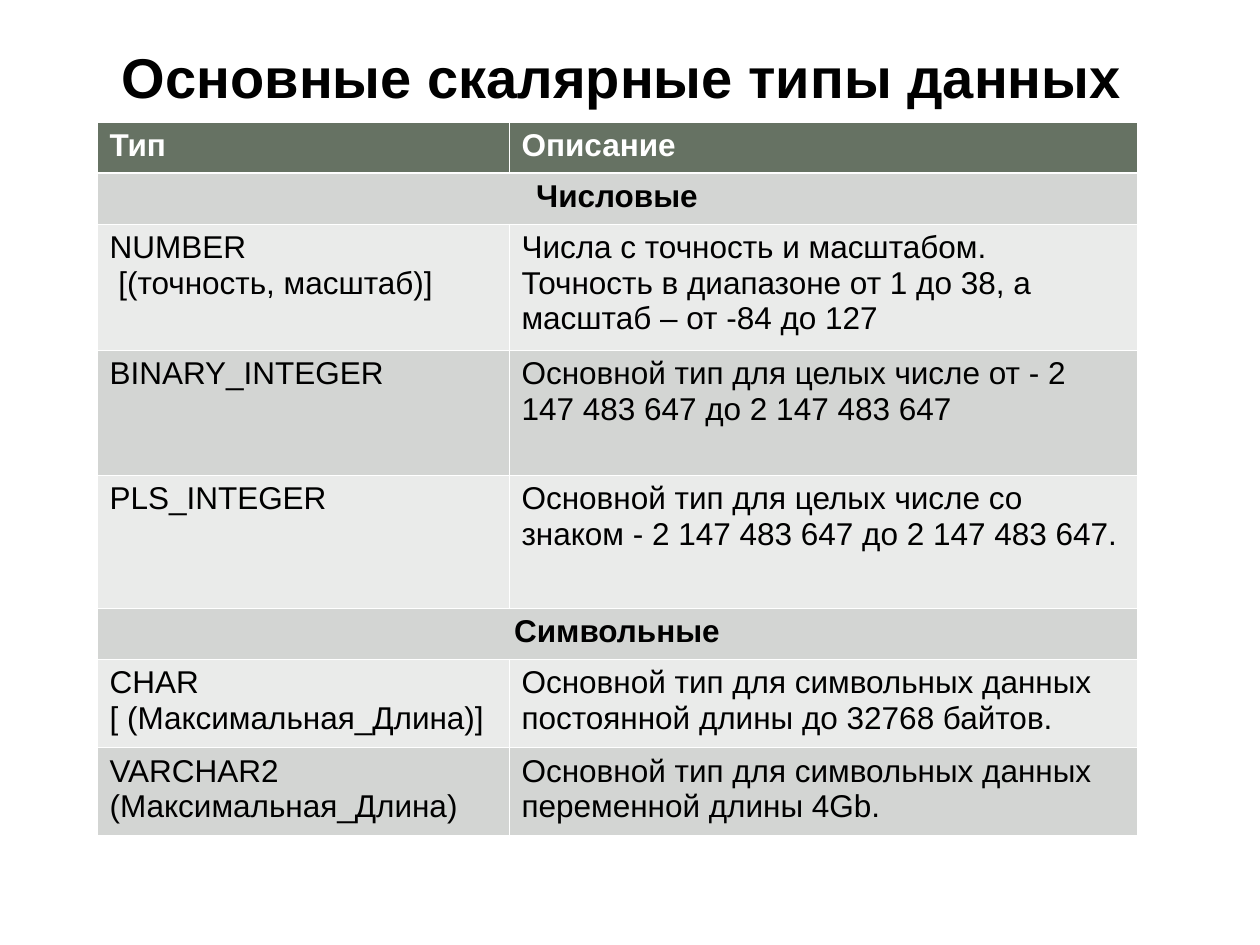
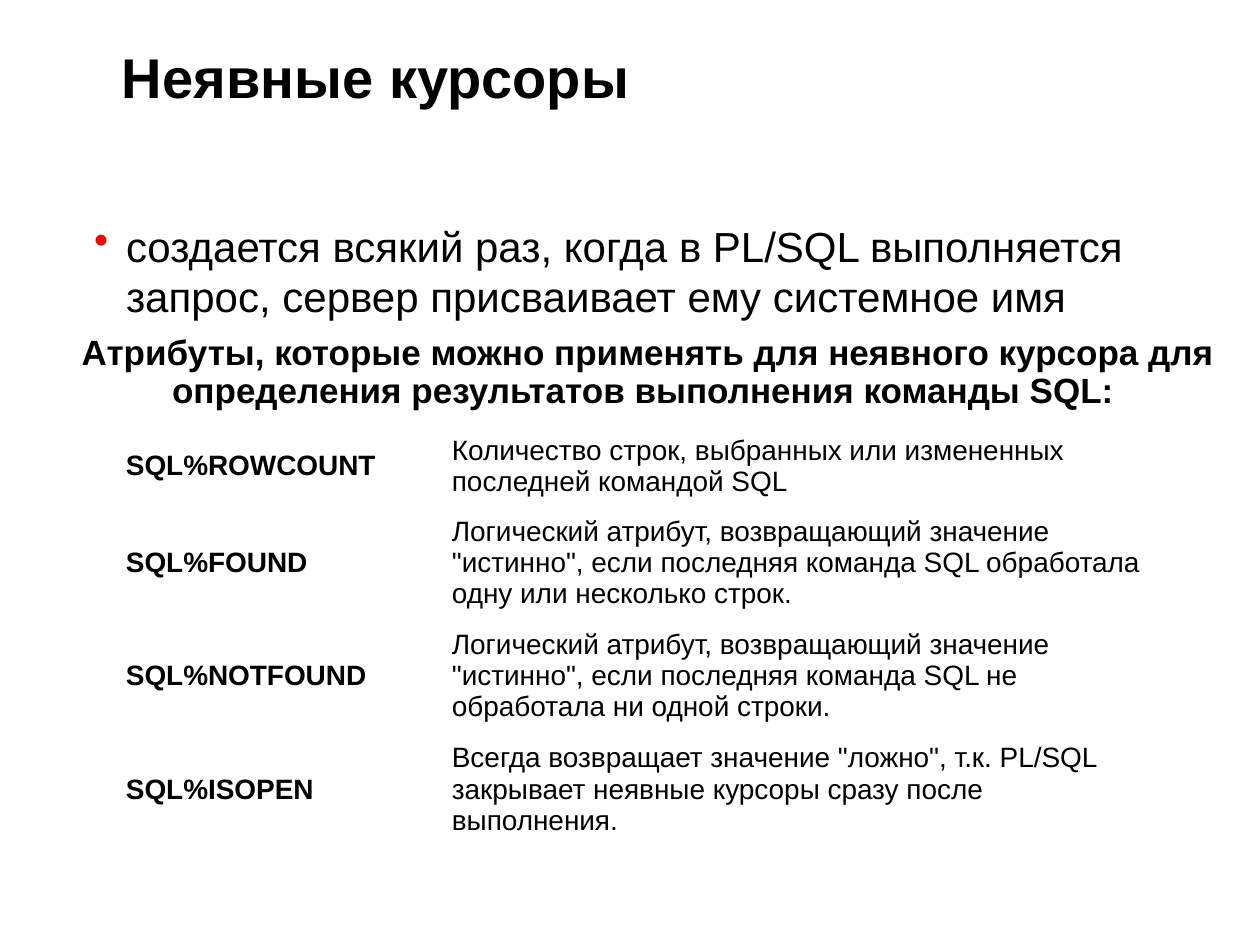
from dataclasses import dataclass

from lxml import etree
from pptx import Presentation
from pptx.dml.color import RGBColor
from pptx.enum.text import MSO_ANCHOR, PP_ALIGN
from pptx.oxml.ns import qn
from pptx.util import Emu, Pt

CENTER, LEFT = PP_ALIGN.CENTER, PP_ALIGN.LEFT
TOP, MIDDLE = MSO_ANCHOR.TOP, MSO_ANCHOR.MIDDLE
PX_PER_INCH = 126


@dataclass(frozen=True)
class Theme:
    font: str = "Arial"
    ink: str = "000000"
    white: str = "FFFFFF"
    header: str = "667263"
    bands: tuple = ("D3D5D3", "EAEBEA")
    bullet: str = "FC0000"
    title_size: int = 32
    body_size: int = 24
    lead_size: int = 20
    types_size: int = 18
    attrs_size: int = 16
    rule: float = 0.45
    header_rule: float = 1.47


T = Theme()

# Content: a row with one text spans the whole table
TYPES_TITLE = "Основные скалярные типы данных"
TYPES = [
    ("Тип", "Описание"),
    ("Числовые",),
    ("NUMBER\n [(точность, масштаб)]",
     "Числа с точность и масштабом. Точность в диапазоне от 1 до 38, а масштаб – от -84 до 127"),
    ("BINARY_INTEGER", "Основной тип для целых числе от - 2 147 483 647 до 2 147 483 647"),
    ("PLS_INTEGER", "Основной тип для целых числе со знаком - 2 147 483 647 до 2 147 483 647."),
    ("Символьные",),
    ("CHAR\n[ (Максимальная_Длина)]",
     "Основной тип для символьных данных постоянной длины до 32768 байтов."),
    ("VARCHAR2 (Максимальная_Длина)",
     "Основной тип для символьных данных переменной длины 4Gb."),
]
TYPES_COLS = (412, 628)
TYPES_ROWS = (51, 51, 126, 125, 133, 51, 88, 88)

CURSOR_TITLE = "Неявные курсоры"
CURSOR_NOTE = ("создается всякий раз, когда в PL/SQL выполняется запрос, "
               "сервер присваивает ему системное имя")
ATTRS_LEAD = ("Атрибуты, которые можно применять для неявного курсора для "
              "определения результатов выполнения команды SQL: ")
ATTRS = [
    ("SQL%ROWCOUNT", "Количество строк, выбранных или измененных последней командой SQL"),
    ("SQL%FOUND", 'Логический атрибут, возвращающий значение "истинно", '
                  "если последняя команда SQL обработала одну или несколько строк."),
    ("SQL%NOTFOUND", 'Логический атрибут, возвращающий значение "истинно", '
                     "если последняя команда SQL не обработала ни одной строки."),
    ("SQL%ISOPEN", 'Всегда возвращает значение "ложно", т.к. PL/SQL '
                   "закрывает неявные курсоры сразу после выполнения."),
]
ATTRS_COLS = (326, 725)
ATTRS_ROWS = (78, 112, 112, 112)


def px(n):
    return Emu(round(n * 914400 / PX_PER_INCH))


def write(tf, text, *, size, color=T.ink, bold=False, align=LEFT,
          before=None, spacing=None, bullet=None):
    """Fill a text frame, one paragraph per line of text."""
    for i, line in enumerate(text.split("\n")):
        p = tf.paragraphs[0] if i == 0 else tf.add_paragraph()
        p.alignment = align
        if before is not None:
            p.space_before = Pt(before)
        if spacing is not None:
            p.line_spacing = spacing
        if bullet:
            add_bullet(p, bullet)
        r = p.add_run()
        r.text = line
        f = r.font
        f.name, f.size, f.bold = T.font, Pt(size), bold
        f.color.rgb = RGBColor.from_string(color)


def add_bullet(p, color, indent=32):
    pPr = p._p.get_or_add_pPr()
    pPr.set("marL", str(px(indent)))
    pPr.set("indent", str(-px(indent)))
    clr = etree.SubElement(pPr, qn("a:buClr"))
    etree.SubElement(clr, qn("a:srgbClr"), val=color)
    etree.SubElement(pPr, qn("a:buChar"), char="•")


def add_text(s, box, text, *, margins=(0, 0), anchor=TOP, **fmt):
    tf = s.shapes.add_textbox(*map(px, box)).text_frame
    tf.word_wrap = True
    tf.vertical_anchor = anchor
    tf.margin_left = tf.margin_right = px(margins[0])
    tf.margin_top = tf.margin_bottom = px(margins[1])
    write(tf, text, **fmt)


def add_grid(s, left, top, cols, rows):
    frame = s.shapes.add_table(len(rows), len(cols), px(left), px(top),
                               px(sum(cols)), px(sum(rows)))
    table = frame.table
    table.first_row = table.horz_banding = False
    for column, width in zip(table.columns, cols):
        column.width = px(width)
    for row, height in zip(table.rows, rows):
        row.height = px(height)
    return table


def set_borders(cell, top, bottom):
    tcPr = cell._tc.get_or_add_tcPr()
    for side, width in (("L", T.rule), ("R", T.rule), ("T", top), ("B", bottom)):
        ln = etree.SubElement(tcPr, qn("a:ln" + side), w=str(Pt(width)))
        fill = etree.SubElement(ln, qn("a:solidFill"))
        etree.SubElement(fill, qn("a:srgbClr"), val=T.white)


def new_slide(prs, title):
    s = prs.slides.add_slide(prs.slide_layouts[6])
    add_text(s, (122, 42, 1045, 130), title, size=T.title_size, bold=True)
    return s


def types_slide(prs):
    s = new_slide(prs, TYPES_TITLE)
    table = add_grid(s, 97, 122, TYPES_COLS, TYPES_ROWS)
    for i, texts in enumerate(TYPES):
        header, section = i == 0, len(texts) == 1
        fill = T.header if header else T.bands[(i - 1) % 2]
        for j in range(len(TYPES_COLS)):
            cell = table.cell(i, j)
            set_borders(cell, T.header_rule if i == 1 else T.rule,
                        T.header_rule if header else T.rule)
            cell.fill.solid()
            cell.fill.fore_color.rgb = RGBColor.from_string(fill)
        if section:
            table.cell(i, 0).merge(table.cell(i, len(TYPES_COLS) - 1))
        for j, text in enumerate(texts):
            write(table.cell(i, j).text_frame, text, size=T.types_size,
                  color=T.white if header else T.ink, bold=header or section,
                  align=CENTER if section else LEFT)


def cursor_slide(prs):
    s = new_slide(prs, CURSOR_TITLE)
    add_text(s, (94, 220, 1038, 598), CURSOR_NOTE, size=T.body_size,
             before=6, bullet=T.bullet)

    # Attribute names and meanings, without fills
    table = add_grid(s, 115, 426, ATTRS_COLS, ATTRS_ROWS)
    for i, texts in enumerate(ATTRS):
        for j, text in enumerate(texts):
            cell = table.cell(i, j)
            set_borders(cell, T.rule, T.rule)
            cell.fill.background()
            cell.vertical_anchor = MIDDLE
            cell.margin_left = cell.margin_right = px(11)
            write(cell.text_frame, text, size=T.attrs_size, bold=j == 0)

    add_text(s, (18, 329, 1260, 88), ATTRS_LEAD, margins=(13, 6), anchor=MIDDLE,
             size=T.lead_size, bold=True, align=CENTER, before=12.5, spacing=0.9)


def main():
    prs = Presentation()
    prs.slide_width, prs.slide_height = px(1260), px(945)
    types_slide(prs)
    cursor_slide(prs)
    prs.save("out.pptx")


if __name__ == "__main__":
    main()
